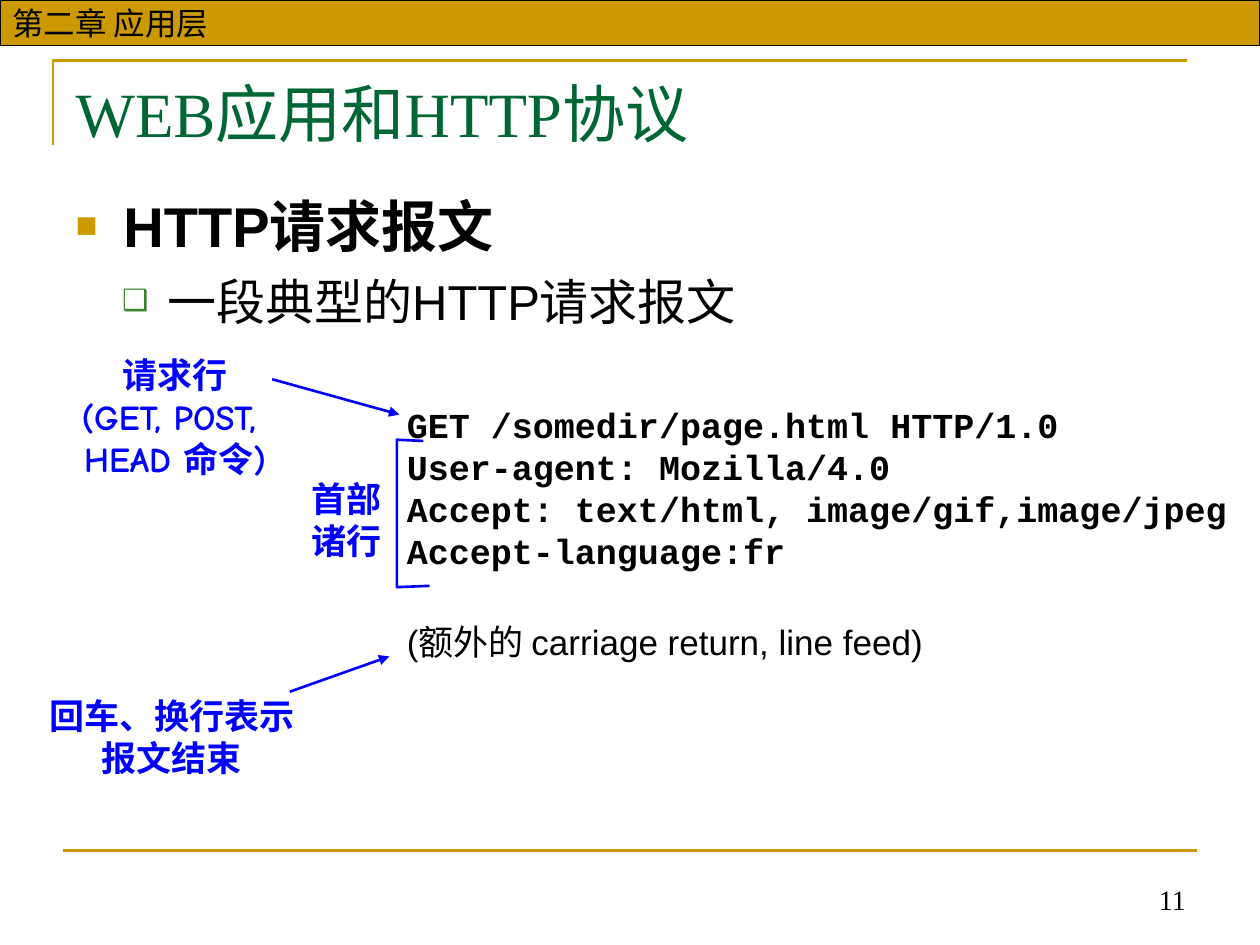
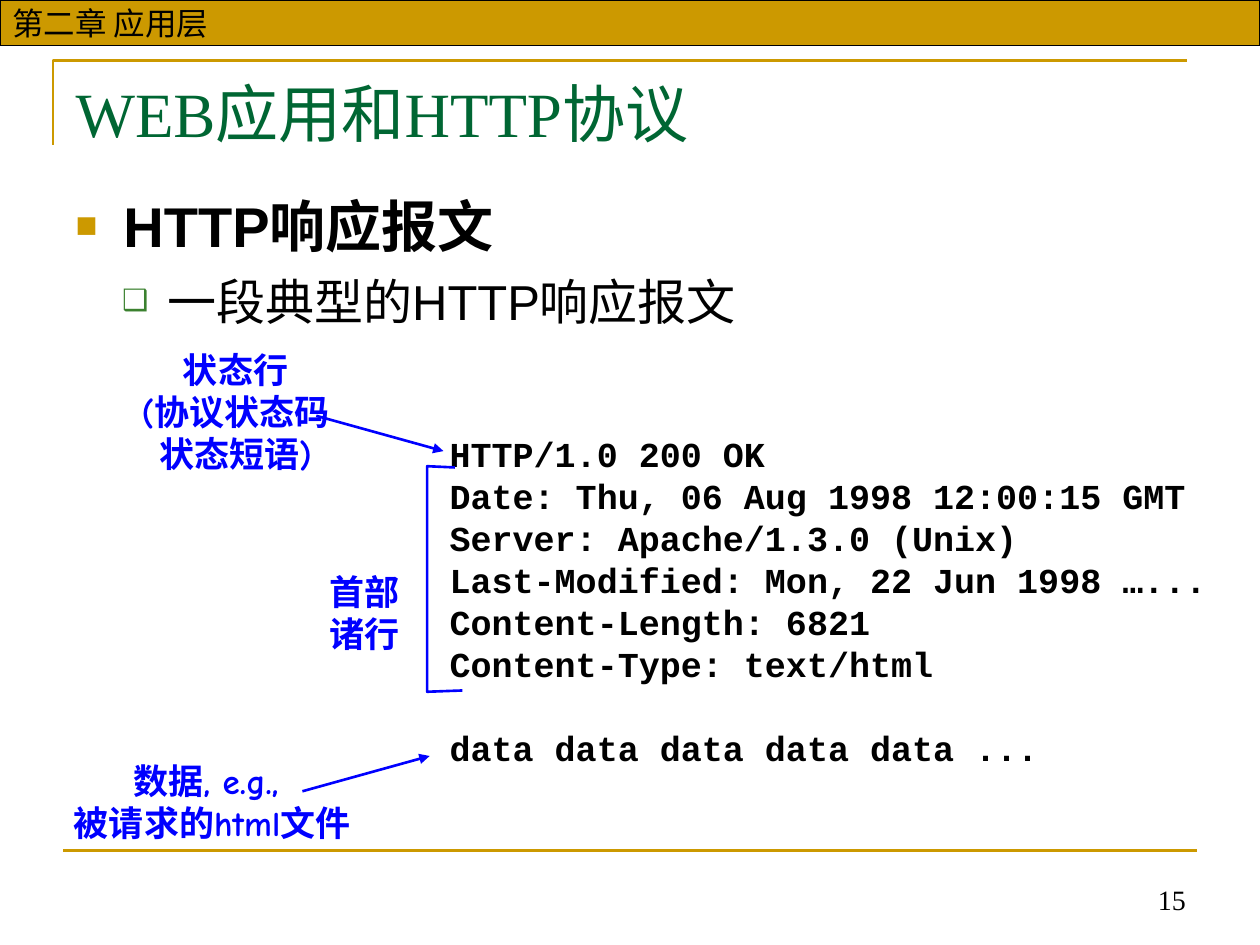
from lxml.etree import SubElement
from pptx import Presentation
from pptx.dml.color import RGBColor
from pptx.enum.shapes import MSO_CONNECTOR, MSO_SHAPE
from pptx.enum.text import MSO_ANCHOR, MSO_AUTO_SIZE, PP_ALIGN
from pptx.oxml.ns import qn
from pptx.util import Inches, Pt

HUES = {"gold": "CC9900", "title": "006633", "leaf": "3B812F",
        "note": "0000FF", "ink": "000000", "page": "FFFFFF"}
SANS, SERIF, MONO, HAND = "Arial", "Times New Roman", "Courier New", "Comic Neue"
LEFT, MID, RIGHT = PP_ALIGN.LEFT, PP_ALIGN.CENTER, PP_ALIGN.RIGHT

BAND = "第二章 应用层"
TITLE = "WEB应用和HTTP协议"

# Content: boxes are left, top, width, height; arrows are x1, y1, x2, y2;
# a brace is left, top, bottom, upper arm, lower arm
SLIDES = [
    {"page": "11",
     "points": ["HTTP请求报文", "一段典型的HTTP请求报文"],
     "code": ["GET /somedir/page.html HTTP/1.0",
              "User-agent: Mozilla/4.0",
              "Accept: text/html, image/gif,image/jpeg",
              "Accept-language:fr",
              "(额外的 carriage return, line feed)"],
     "box": (3.13, 3.15, 6.88, 2.24), "gap": 28, "plain": True,
     "notes": [(["请求行", "(GET, POST, ", "HEAD 命令)"], (0.5, 2.76, 1.78, 1.1), MID),
               (["首部", "诸行"], (2.31, 3.74, 0.82, 0.77), RIGHT),
               (["回车、换行表示", "报文结束"], (0.11, 5.46, 2.51, 0.77), MID)],
     "arrows": [(2.16, 3.01, 3.17, 3.29), (2.3, 5.49, 3.09, 5.21)],
     "brace": (3.15, 3.49, 4.66, 0.21, 0.26)},
    {"page": "15",
     "points": ["HTTP响应报文", "一段典型的HTTP响应报文"],
     "code": ["HTTP/1.0 200 OK",
              "Date: Thu, 06 Aug 1998 12:00:15 GMT",
              "Server: Apache/1.3.0 (Unix)",
              "Last-Modified: Mon, 22 Jun 1998 …...",
              "Content-Length: 6821",
              "Content-Type: text/html",
              "data data data data data ..."],
     "box": (3.47, 3.38, 6.38, 2.77), "gap": 24, "plain": False,
     "notes": [(["状态行", "(协议状态码", "状态短语)"], (0.99, 2.72, 1.76, 1.1), MID),
               (["首部", "诸行"], (2.45, 4.48, 0.82, 0.77), RIGHT),
               (["数据, e.g., ", "被请求的html文件"], (0.42, 5.98, 2.53, 0.77), MID)],
     "arrows": [(2.51, 3.3, 3.52, 3.58), (2.4, 6.28, 3.41, 6)],
     "brace": (3.39, 3.7, 5.49, 0.22, 0.28)},
]

# Bullet levels: size, bold, mark, mark colour, mark percent, left, hanging, space before
LEVELS = [(32, True, "■", "gold", 65, 0.38, 0.38, 0),
          (28, False, "❑", "leaf", 60, 0.73, 0.36, 7)]


def rgb(hue):
    return RGBColor.from_string(HUES[hue])


def place(shape, box):
    shape.left, shape.top, shape.width, shape.height = map(Inches, box)


def style(para, face, size, hue, bold=False, align=LEFT):
    para.alignment = align
    for run in para.runs:
        font = run.font
        font.name, font.size, font.bold = face, Pt(size), bold
        font.color.rgb = rgb(hue)


def write(slide, lines, box, face, size, hue, bold=False, align=LEFT,
          anchor=MSO_ANCHOR.TOP):
    frame = slide.shapes.add_textbox(*map(Inches, box)).text_frame
    frame.word_wrap = False
    frame.vertical_anchor = anchor
    frame.text = "\n".join(lines)
    for para in frame.paragraphs:
        style(para, face, size, hue, bold, align)
    return frame


def stroke(shape, hue, width=1.5):
    shape.line.color.rgb = rgb(hue)
    shape.line.width = Pt(width)


def join(slide, ends, hue, arrow=False):
    line = slide.shapes.add_connector(MSO_CONNECTOR.STRAIGHT, *map(Inches, ends))
    stroke(line, hue)
    if arrow:
        SubElement(line.line._get_or_add_ln(), qn("a:tailEnd"), type="triangle")
    SubElement(line._element.spPr, qn("a:effectLst"))


def trace(slide, points, hue):
    spots = [(Inches(x), Inches(y)) for x, y in points]
    pen = slide.shapes.build_freeform(*spots[0])
    pen.add_line_segments(spots[1:], close=False)
    shape = pen.convert_to_shape()
    shape.fill.background()
    stroke(shape, hue)
    shape.shadow.inherit = False


def frame_page(slide, page):
    # Corner rule, foot rule, chapter band, page number
    trace(slide, [(0.42, 1.15), (0.42, 0.48), (9.42, 0.48)], "gold")
    join(slide, (0.5, 6.75, 9.5, 6.75), "gold")
    band = slide.shapes.add_shape(MSO_SHAPE.RECTANGLE, 0, 0, Inches(10), Inches(0.36))
    band.fill.solid()
    band.fill.fore_color.rgb = rgb("gold")
    stroke(band, "ink", 0.75)
    band.shadow.inherit = False
    band.text_frame.vertical_anchor = MSO_ANCHOR.MIDDLE
    band.text_frame.text = BAND
    style(band.text_frame.paragraphs[0], SANS, 18, "ink")
    write(slide, [page], (6.34, 6.82, 3.17, 0.5), SERIF, 16, "ink",
          align=RIGHT, anchor=MSO_ANCHOR.BOTTOM)


def fill_holders(slide, points):
    title, body = slide.shapes.title, slide.placeholders[1]
    place(title, (0.5, 0.54, 9, 0.77))
    place(body, (0.5, 1.47, 9, 5.2))
    for shape, text in ((title, TITLE), (body, "\n".join(points))):
        frame = shape.text_frame
        frame.text = text
        frame.auto_size = MSO_AUTO_SIZE.NONE
        frame.vertical_anchor = MSO_ANCHOR.TOP
    style(title.text_frame.paragraphs[0], SERIF, 36, "title")

    for rank, (para, level) in enumerate(zip(body.text_frame.paragraphs, LEVELS)):
        size, bold, mark, hue, part, left, hang, gap = level
        para.level = rank
        props = para._p.get_or_add_pPr()
        props.set("marL", str(Inches(left)))
        props.set("indent", str(-Inches(hang)))
        tint = SubElement(props, qn("a:buClr"))
        SubElement(tint, qn("a:srgbClr"), val=HUES[hue])
        SubElement(props, qn("a:buSzPct"), val=str(part * 1000))
        SubElement(props, qn("a:buChar"), char=mark)
        para.space_before = Pt(gap)
        style(para, SANS, size, "ink", bold)


def build(deck, data):
    slide = deck.slides.add_slide(deck.slide_layouts[1])
    slide.background.fill.solid()
    slide.background.fill.fore_color.rgb = rgb("page")
    frame_page(slide, data["page"])
    fill_holders(slide, data["points"])

    # Message text, its last line set apart
    code = write(slide, data["code"], data["box"], MONO, 20, "ink", True)
    last = code.paragraphs[-1]
    last.space_before = Pt(data["gap"])
    if data["plain"]:
        style(last, SANS, 20, "ink")

    # Blue notes, arrows and brace
    for lines, box, align in data["notes"]:
        write(slide, lines, box, HAND, 20, "note", True, align)
    for ends in data["arrows"]:
        join(slide, ends, "note", arrow=True)
    left, top, base, upper, lower = data["brace"]
    trace(slide, [(left + upper, top + 0.01), (left, top),
                  (left, base), (left + lower, base - 0.01)], "note")


def main():
    deck = Presentation()
    deck.slide_width, deck.slide_height = Inches(10), Inches(7.5)
    for data in SLIDES:
        build(deck, data)
    deck.save("out.pptx")


if __name__ == "__main__":
    main()
